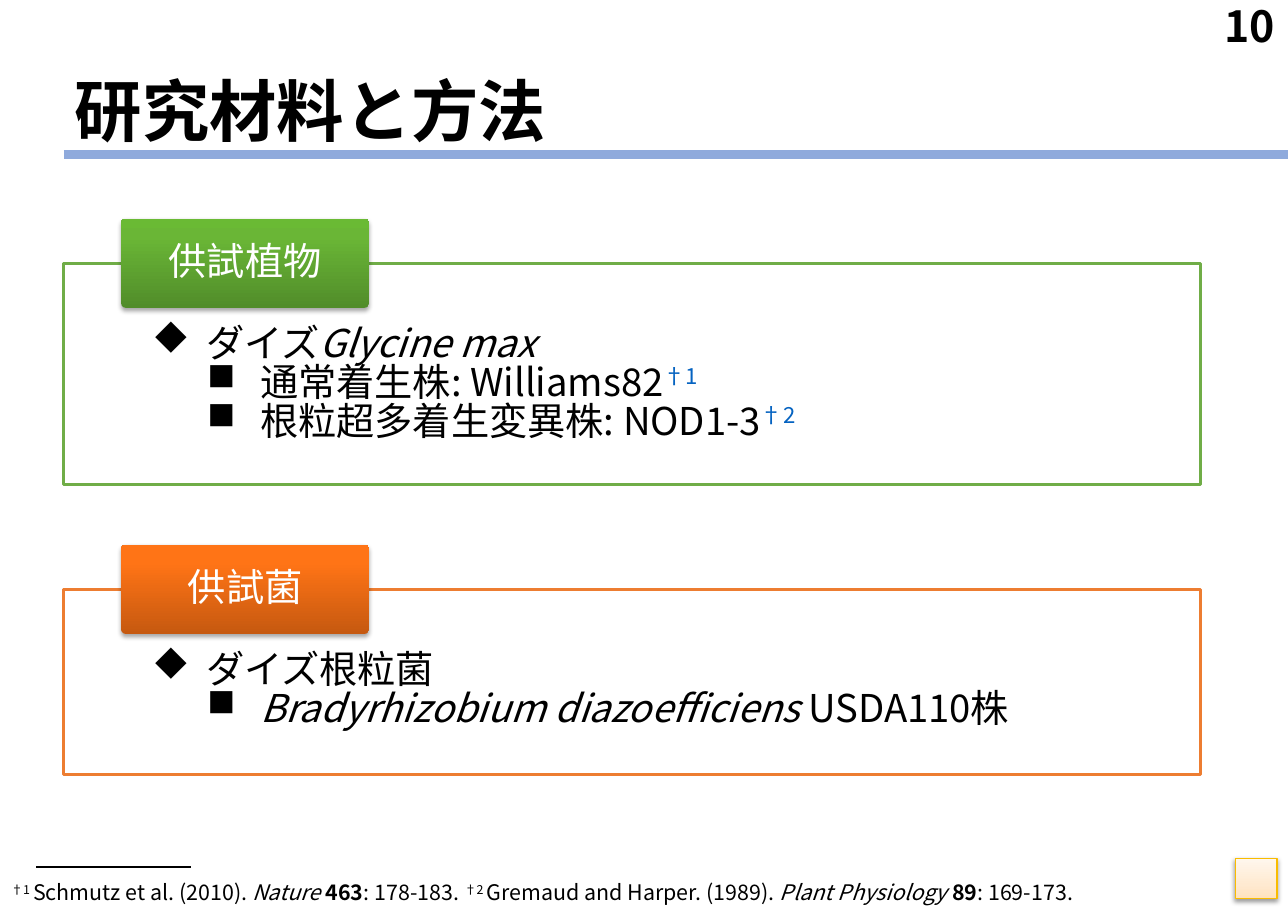
from lxml.etree import SubElement
from pptx import Presentation
from pptx.dml.color import RGBColor
from pptx.enum.shapes import MSO_CONNECTOR, MSO_SHAPE
from pptx.enum.text import MSO_ANCHOR as ANCHOR, PP_ALIGN as ALIGN
from pptx.oxml.ns import qn
from pptx.util import Pt

FONT = "Noto Sans CJK JP"
COLORS = {
    "black": "000000", "white": "FFFFFF", "rule": "8FAADC", "link": "0563C1",
    "green": "70AD47", "orange": "ED7D31", "gold": "F9BC00",
}
GRADIENTS = {
    "green": [(0, "518D2A"), (80, "6AB636"), (100, "6ABA34")],
    "orange": [(0, "C65910"), (80, "FF7416"), (100, "FF7517")],
    "gold": [(0, "FFE2BD"), (35, "FFEAD1"), (100, "FFF7EE")],
}
BULLETS = {1: ("u", 35.3, -35.3), 2: ("n", 70.6, -34.6)}


def write(shape, paragraphs, size, color="black", bold=False, anchor=ANCHOR.TOP,
          align=ALIGN.LEFT, spacing=1.0, insets=(7.2, 3.6)):
    frame = shape.text_frame
    across, top = insets[:2]
    settings = {
        "word_wrap": True, "vertical_anchor": anchor,
        "margin_left": Pt(across), "margin_right": Pt(across),
        "margin_top": Pt(top), "margin_bottom": Pt(insets[-1]),
    }
    for name, value in settings.items():
        setattr(frame, name, value)
    for index, (level, runs) in enumerate(paragraphs):
        paragraph = frame.add_paragraph() if index else frame.paragraphs[0]
        paragraph.alignment = align
        paragraph.line_spacing = spacing
        if level:
            character, margin, indent = BULLETS[level]
            properties = paragraph._p.get_or_add_pPr()
            properties.set("marL", str(Pt(margin)))
            properties.set("indent", str(Pt(indent)))
            SubElement(properties, qn("a:buFont"), typeface="Wingdings", charset="2")
            SubElement(properties, qn("a:buChar"), char=character)
        for text, style in runs:
            run = paragraph.add_run()
            run.text = text
            formats = {"name": FONT, "size": Pt(size), "bold": bold or "b" in style,
                       "italic": "i" in style}
            for name, value in formats.items():
                setattr(run.font, name, value)
            tint = "link" if "l" in style else color
            run.font.color.rgb = RGBColor.from_string(COLORS[tint])
            SubElement(run.font._element, qn("a:ea"), typeface=FONT)
            if "s" in style:
                run.font._element.set("baseline", "30000")


def shade(shape, gradient, opacity, distance):
    shape.fill.gradient()
    shape.fill.gradient_angle = 90
    stops = shape._element.spPr.find(qn("a:gradFill")).find(qn("a:gsLst"))
    for stop in list(stops):
        stops.remove(stop)
    for position, color in GRADIENTS[gradient]:
        stop = SubElement(stops, qn("a:gs"), pos=str(position * 1000))
        SubElement(stop, qn("a:srgbClr"), val=color)
    shape.shadow.inherit = False
    effects = shape._element.spPr.find(qn("a:effectLst"))
    shadow = SubElement(effects, qn("a:outerShdw"), blurRad=str(Pt(3.1)),
                        dist=str(Pt(distance)), dir="5400000", rotWithShape="0")
    black = SubElement(shadow, qn("a:srgbClr"), val=COLORS["black"])
    SubElement(black, qn("a:alpha"), val=str(opacity * 1000))


presentation = Presentation()
presentation.slide_width = Pt(841.68)
presentation.slide_height = Pt(595.44)
slide = presentation.slides.add_slide(presentation.slide_layouts[6])
shapes = slide.shapes

for left, right, y, color, width in [
    (41.76, 841.68, 100.8, "rule", 6),
    (23.76, 124.56, 566.64, "black", 1),
]:
    line = shapes.add_connector(MSO_CONNECTOR.STRAIGHT, Pt(left), Pt(y), Pt(right), Pt(y))
    line.line.color.rgb = RGBColor.from_string(COLORS[color])
    line.line.width = Pt(width)
    SubElement(line._element.spPr, qn("a:effectLst"))

sections = [
    ("供試植物", "green", 172.08, 144.72, [
        (1, [("ダイズ", ""), ("Glycine max", "i")]),
        (2, [("通常着生株: Williams82", ""), ("†1", "sl")]),
        (2, [("根粒超多着生変異株: NOD1-3", ""), ("†2", "sl")]),
    ]),
    ("供試菌", "orange", 385.2, 120.96, [
        (1, [("ダイズ根粒菌", "")]),
        (2, [("Bradyrhizobium diazoefficiens", "i"), (" USDA110株", "")]),
    ]),
]
for heading, color, top, height, items in sections:
    panel = shapes.add_shape(MSO_SHAPE.RECTANGLE, Pt(41.76), Pt(top), Pt(743.04), Pt(height))
    panel.shadow.inherit = False
    panel.fill.solid()
    panel.fill.fore_color.rgb = RGBColor.from_string(COLORS["white"])
    white = panel._element.spPr.find(qn("a:solidFill"))[0]
    SubElement(white, qn("a:alpha"), val="90000")
    panel.line.color.rgb = RGBColor.from_string(COLORS[color])
    panel.line.width = Pt(2)
    write(panel, items, 25, spacing=0.85, insets=(57.6, 41.04, 13.68))

    tab = shapes.add_shape(MSO_SHAPE.ROUNDED_RECTANGLE, Pt(79.2), Pt(top - 29.2),
                           Pt(162), Pt(58.32))
    tab.adjustments[0] = 0.05
    tab.line.fill.background()
    shade(tab, color, 35, 1.8)
    write(tab, [(0, [(heading, "")])], 25, color="white", anchor=ANCHOR.MIDDLE,
          align=ALIGN.CENTER, spacing=0.9, insets=(22.32, 2.88))

citations = [
    ("†1 ", "s"), ("Schmutz et al. (2010). ", ""), ("Nature ", "i"), ("463", "b"),
    (": 178-183. ", ""), ("†2 ", "s"), ("Gremaud and Harper. (1989). ", ""),
    ("Plant Physiology ", "i"), ("89", "b"), (": 169-173.", ""),
]
for box, runs, size, options in [
    ((751.68, 0, 88.56, 52.56), [("10", "")], 28,
     {"bold": True, "align": ALIGN.RIGHT, "spacing": 0.9}),
    ((41.76, 31.68, 797.76, 70.56), [("研究材料と方法", "")], 44,
     {"bold": True, "anchor": ANCHOR.BOTTOM, "spacing": 0.9}),
    ((0, 568.8, 839.52, 26.64), citations, 14, {"anchor": ANCHOR.BOTTOM, "spacing": 0.9}),
]:
    write(shapes.add_textbox(*map(Pt, box)), [(0, runs)], size, **options)

button = shapes.add_shape(MSO_SHAPE.ACTION_BUTTON_CUSTOM, Pt(807.12), Pt(560.88),
                          Pt(27.36), Pt(26.64))
button.line.color.rgb = RGBColor.from_string(COLORS["gold"])
button.line.width = Pt(0.75)
shade(button, "gold", 38, 1.6)

presentation.save("out.pptx")
